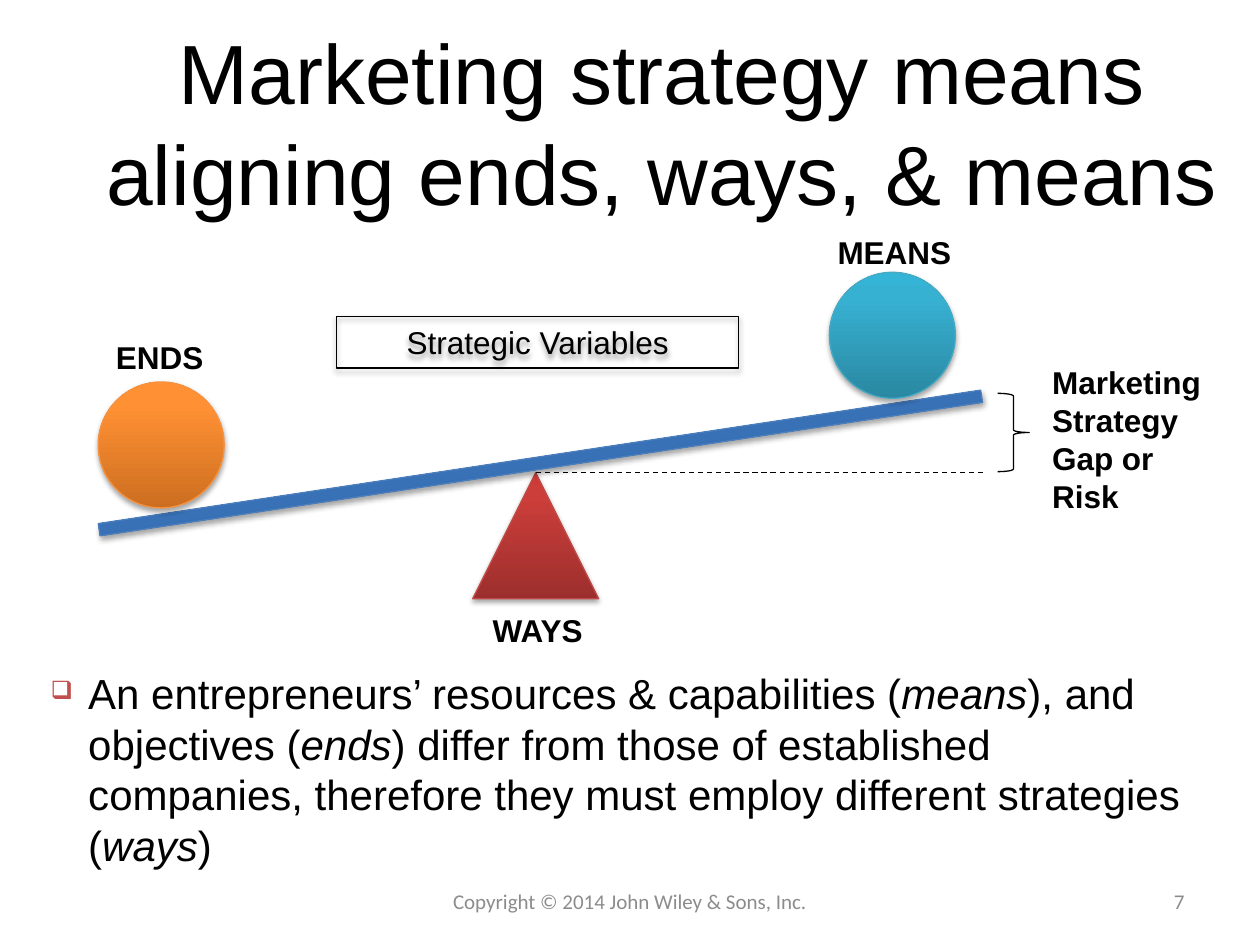
from copy import deepcopy

from lxml import etree
from pptx import Presentation
from pptx import util as u
from pptx.dml.color import RGBColor
from pptx.enum import dml, shapes, text
from pptx.oxml import ns


def color(value):
    return RGBColor.from_string(value)


def add_element(parent, tag, **attributes):
    return etree.SubElement(parent, ns.qn(tag), attributes)


def assign(target, values):
    for name, value in values.items():
        setattr(target, name, value)


class SlideBuilder:
    BODY = {"name": "Arial", "size": u.Pt(18), "bold": False, "italic": False}
    LABEL = {**BODY, "bold": True}
    TITLE = {**BODY, "size": u.Pt(48)}
    BULLET = {**BODY, "size": u.Pt(24)}
    FOOTER = {**BODY, "name": "Calibri", "size": u.Pt(12)}
    FRAME = {
        "word_wrap": True,
        "auto_size": text.MSO_AUTO_SIZE.NONE,
        "vertical_anchor": text.MSO_ANCHOR.MIDDLE,
    }

    def __init__(self, presentation):
        self.slide = presentation.slides.add_slide(presentation.slide_layouts[5])

    def fill_text(self, shape, runs, style, align=text.PP_ALIGN.CENTER, ink="000000"):
        assign(shape.text_frame, self.FRAME)
        paragraph = shape.text_frame.paragraphs[0]
        paragraph.alignment = align
        for wording, italic in runs:
            run = paragraph.add_run()
            run.text = wording
            assign(run.font, {**style, "italic": italic})
            run.font.color.rgb = color(ink)

    def title(self, wording, left, top, width, height):
        shape = self.slide.shapes.title
        box = {"left": left, "top": top, "width": width, "height": height}
        assign(shape, {name: u.Cm(value) for name, value in box.items()})
        self.fill_text(shape, [(wording, False)], self.TITLE)

    def text_box(self, wording, box, style, **options):
        shape = self.slide.shapes.add_textbox(*map(u.Cm, box))
        self.fill_text(shape, [(wording, False)], style, **options)

    def bullet(self, runs, box):
        shape = self.slide.shapes.add_textbox(*map(u.Cm, box))
        properties = shape.text_frame.paragraphs[0]._p.get_or_add_pPr()
        properties.set("marL", str(u.Cm(0.89)))
        properties.set("indent", str(u.Cm(-0.76)))
        add_element(add_element(properties, "a:buClr"), "a:srgbClr", val="C0504D")
        add_element(properties, "a:buSzPct", val="60000")
        add_element(properties, "a:buChar", char="❑")
        self.fill_text(shape, runs, self.BULLET, align=text.PP_ALIGN.LEFT)
        assign(shape.text_frame, {
            "auto_size": text.MSO_AUTO_SIZE.SHAPE_TO_FIT_TEXT,
            "vertical_anchor": text.MSO_ANCHOR.TOP,
        })

    def shadow(self, shape, opacity):
        effects = shape._element.spPr.find(ns.qn("a:effectLst"))
        outer = add_element(effects, "a:outerShdw", blurRad=str(u.Pt(3.1)),
                            dist=str(u.Pt(1.8)), dir="5400000", rotWithShape="0")
        shade = add_element(outer, "a:srgbClr", val="000000")
        add_element(shade, "a:alpha", val=str(opacity * 1000))

    def outline(self, kind, box, line="000000"):
        shape = self.slide.shapes.add_shape(kind, *map(u.Cm, box))
        shape.shadow.inherit = False
        shape.fill.background()
        shape.line.color.rgb = color(line)
        shape.line.width = u.Pt(0.75)
        return shape

    def solid(self, kind, box, stops, line, rotation=0):
        shape = self.outline(kind, box, line)
        shape.rotation = rotation
        shape.fill.gradient()
        shape.fill.gradient_angle = 90
        first = shape._element.spPr.find(".//" + ns.qn("a:gs"))
        first.addnext(deepcopy(first))
        for stop, position, value in zip(shape.fill.gradient_stops, (0, 0.8, 1), stops):
            stop.position = position
            stop.color.rgb = color(value)
        self.shadow(shape, 35)

    def caption_box(self, wording, box):
        shape = self.outline(shapes.MSO_SHAPE.RECTANGLE, box)
        self.shadow(shape, 38)
        self.fill_text(shape, [(wording, False)], self.BODY)

    def dashed_line(self, start, end):
        line = self.slide.shapes.add_connector(
            shapes.MSO_CONNECTOR.STRAIGHT, *map(u.Cm, start + end))
        line.line.color.rgb = color("000000")
        assign(line.line, {"width": u.Pt(0.75), "dash_style": dml.MSO_LINE.DASH})
        add_element(line._element.spPr, "a:effectLst")


def main():
    presentation = Presentation()
    assign(presentation, {"slide_width": u.Cm(25.4), "slide_height": u.Cm(19.05)})
    builder = SlideBuilder(presentation)
    kinds = shapes.MSO_SHAPE

    builder.title("Marketing strategy means aligning ends, ways, & means",
                  1.7, 1.07, 23.28, 2.75)
    builder.text_box("Copyright © 2014 John Wiley & Sons, Inc.",
                     (8.68, 17.66, 8.04, 1.02), builder.FOOTER, ink="8C8C8C")
    builder.text_box("7", (18.2, 17.66, 5.93, 1.02), builder.FOOTER,
                     align=text.PP_ALIGN.RIGHT, ink="8C8C8C")

    ball = 2.54
    builder.solid(kinds.ISOSCELES_TRIANGLE, (9.53, 9.53, ball, ball),
                  ("9C2F2D", "CB3E3A", "CE3B37"), "BF4C48")
    builder.solid(kinds.RECTANGLE, (1.9, 9.21, 17.99, 0.25),
                  ("2F5F99", "3D7CC7", "3A7CCB"), "4B7EBC", rotation=351.4)
    builder.solid(kinds.OVAL, (16.72, 5.49, ball, ball),
                  ("2A88A2", "37B1D2", "34B4D6"), "46AAC5")
    builder.solid(kinds.OVAL, (1.98, 7.7, ball, ball),
                  ("CC6E20", "FF9034", "FF9136"), "F69240")
    builder.outline(kinds.RIGHT_BRACE, (20.11, 7.93, 0.64, 1.58))
    builder.dashed_line((10.8, 9.53), (19.81, 9.53))

    for wording, left, top in (("ENDS", 0.64, 6.56), ("MEANS", 15.45, 4.45),
                               ("WAYS", 8.26, 12.07)):
        builder.text_box(wording, (left, top, 5.16, 1.27), builder.LABEL)
    builder.text_box("Marketing Strategy Gap or Risk", (20.96, 7.45, 3.66, 2.8),
                     builder.LABEL, align=text.PP_ALIGN.LEFT)

    builder.bullet([
        ("An entrepreneurs’ resources & capabilities (", False),
        ("means", True),
        ("), and objectives (", False),
        ("ends", True),
        (") differ from those of established companies, "
         "therefore they must employ different strategies (", False),
        ("ways", True),
        (")", False),
    ], (0.64, 13.34, 23.98, 3.33))
    builder.caption_box("Strategic Variables", (6.79, 6.38, 8.1, 1.04))

    presentation.save("out.pptx")


if __name__ == "__main__":
    main()
